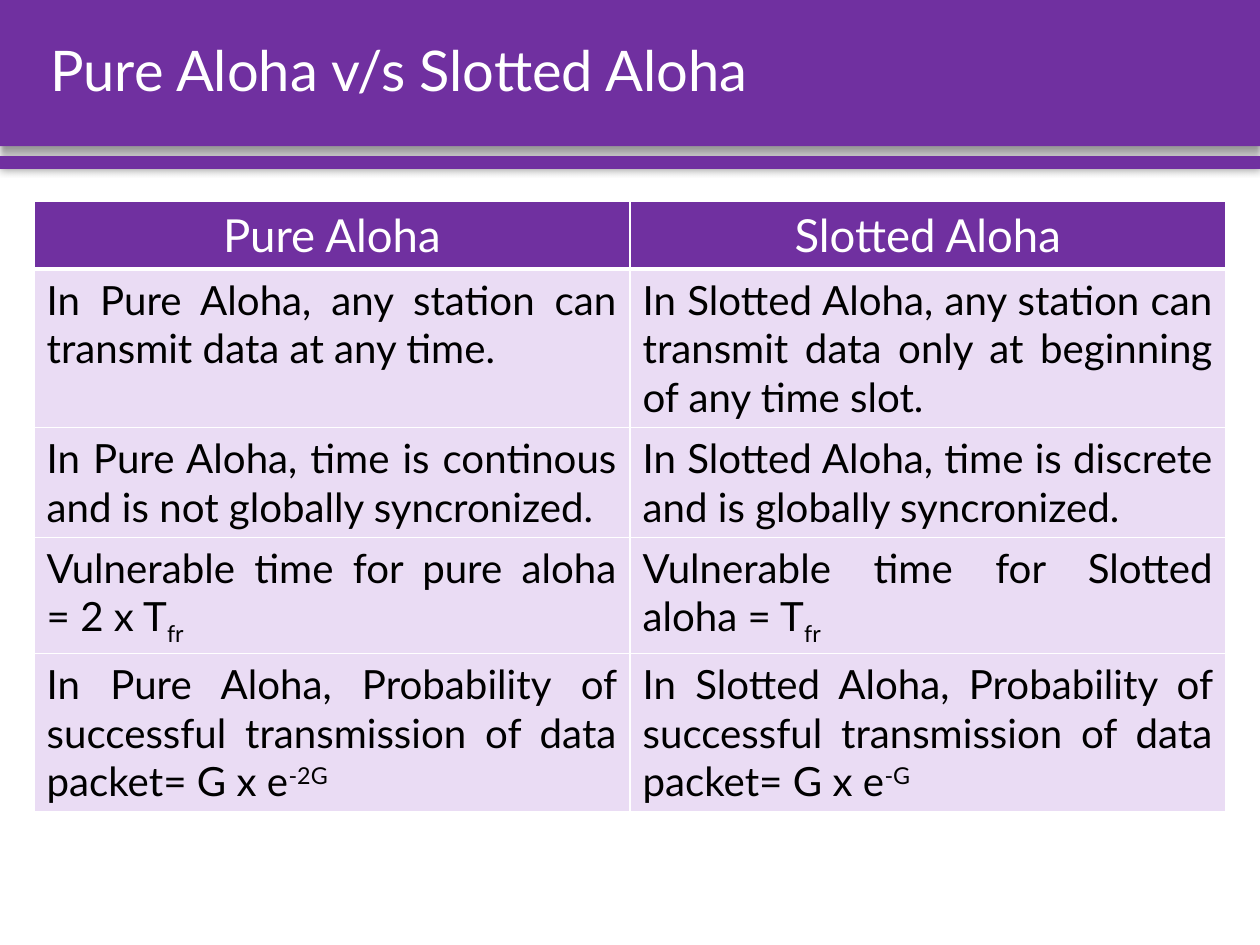
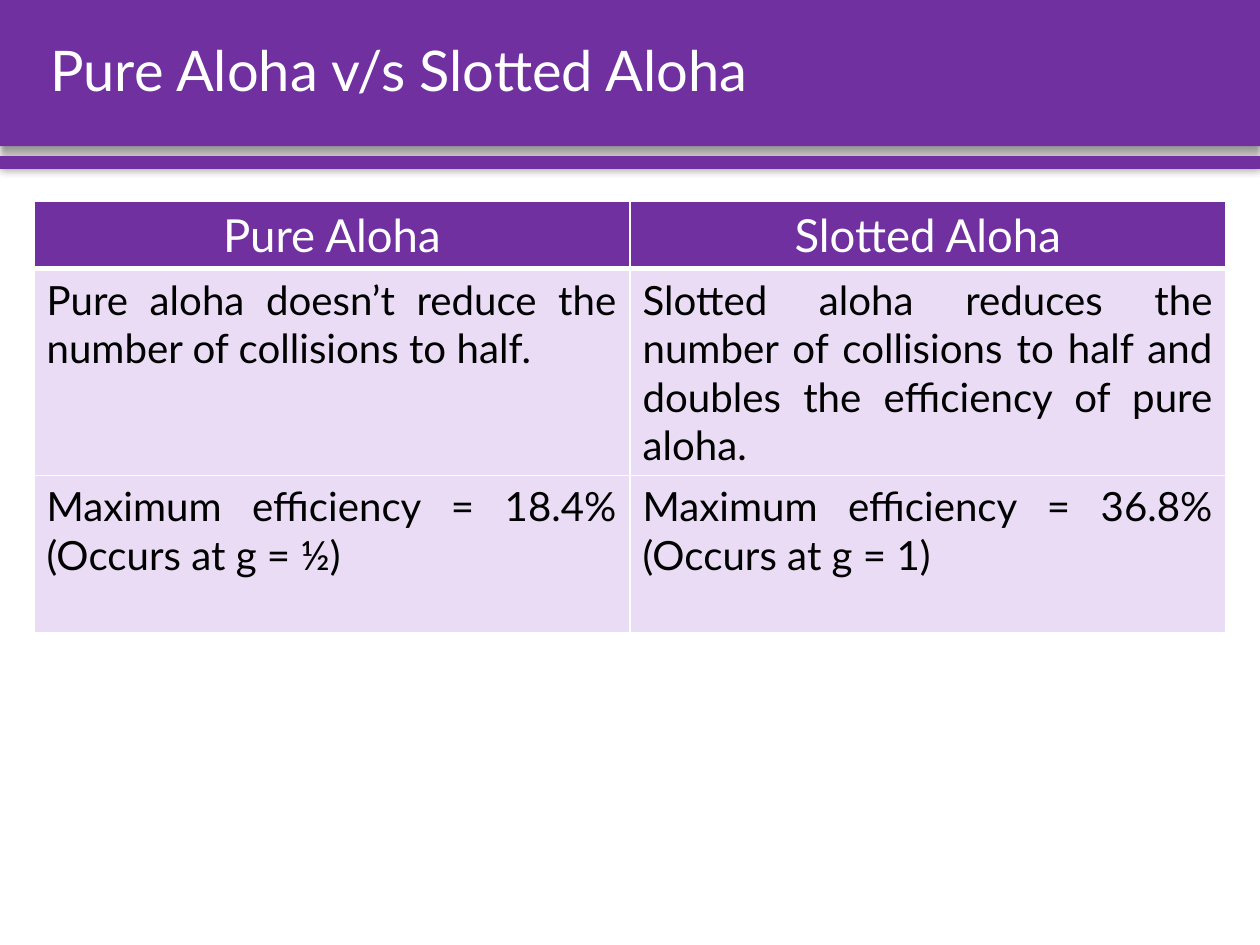
"""Build two slides that compare Pure Aloha with Slotted Aloha."""
from dataclasses import dataclass

from lxml.etree import SubElement
from pptx import Presentation
from pptx.dml.color import RGBColor
from pptx.enum.shapes import MSO_SHAPE
from pptx.enum.text import MSO_ANCHOR, PP_ALIGN
from pptx.oxml import parse_xml
from pptx.oxml.ns import nsdecls, qn
from pptx.util import Inches, Pt

COLOURS = {"purple": "7030A0", "lilac": "EADCF4", "white": "FFFFFF", "black": "000000"}
FONT = "Lato"
TITLE = "Pure Aloha v/s Slotted Aloha"
PAGE_WIDTH, PAGE_HEIGHT = 10, 7.5
TABLE_LEFT, TABLE_TOP, TABLE_WIDTH = 0.27, 1.6, 9.46
HEADER_HEIGHT = 0.52
THIN, THICK = 1, 3


@dataclass(frozen=True)
class Band:
    top: float
    height: float
    blur: int
    distance: int
    angle: int


@dataclass(frozen=True)
class Entry:
    text: str
    script: str = ""
    baseline: int = 0


@dataclass(frozen=True)
class Row:
    height: float
    pure: Entry
    slotted: Entry


BANDS = [Band(0, 1.16, 4, 3, 90), Band(1.24, 0.1, 5, 0, 0)]
HEADER = Row(HEADER_HEIGHT, Entry("Pure Aloha"), Entry("Slotted Aloha"))
PAGES = [
    [
        Row(
            1.26,
            Entry("In Pure Aloha, any station can transmit data at any time."),
            Entry("In Slotted Aloha, any station can transmit data only at beginning of any time slot."),
        ),
        Row(
            0.87,
            Entry("In Pure Aloha, time is continous and is not globally syncronized."),
            Entry("In Slotted Aloha, time is discrete and is globally syncronized."),
        ),
        Row(
            0.92,
            Entry("Vulnerable time for pure aloha\n= 2 x T", "fr", -25),
            Entry("Vulnerable time for Slotted aloha = T", "fr", -25),
        ),
        Row(
            1.25,
            Entry("In Pure Aloha, Probability of successful transmission of data packet= G x e", "-2G", 30),
            Entry("In Slotted Aloha, Probability of successful transmission of data packet= G x e", "-G", 30),
        ),
    ],
    [
        Row(
            1.64,
            Entry("Pure aloha doesn’t reduce the number of collisions to half."),
            Entry("Slotted aloha reduces the number of collisions to half and doubles the efficiency of pure aloha."),
        ),
        Row(
            1.25,
            Entry("Maximum efficiency = 18.4% (Occurs at g = ½)"),
            Entry("Maximum efficiency = 36.8% (Occurs at g = 1)"),
        ),
    ],
]


def colour(name: str) -> RGBColor:
    return RGBColor.from_string(COLOURS[name])


def format_spans(para, size: int, colour_name: str) -> None:
    for span in para.runs:
        span.font.name = FONT
        span.font.size = Pt(size)
        span.font.bold = False
        span.font.color.rgb = colour(colour_name)


def draw_band(page, band: Band) -> None:
    bar = page.shapes.add_shape(
        MSO_SHAPE.RECTANGLE, 0, Inches(band.top), Inches(PAGE_WIDTH), Inches(band.height)
    )
    bar.fill.solid()
    bar.fill.fore_color.rgb = colour("purple")
    bar.line.fill.background()
    bar.shadow.inherit = False
    effects = bar._element.spPr.find(qn("a:effectLst"))
    shadow = SubElement(
        effects, qn("a:outerShdw"), blurRad=str(Pt(band.blur)), dist=str(Pt(band.distance)),
        dir=str(band.angle * 60000), algn="ctr", rotWithShape="0",
    )
    tint = SubElement(shadow, qn("a:srgbClr"), val=COLOURS["black"])
    SubElement(tint, qn("a:alpha"), val="40000")


def draw_title(page) -> None:
    box = page.shapes.add_textbox(Inches(0.3), 0, Inches(TABLE_WIDTH), Inches(BANDS[0].height))
    frame = box.text_frame
    frame.word_wrap = True
    frame.vertical_anchor = MSO_ANCHOR.MIDDLE
    frame.text = TITLE
    para = frame.paragraphs[0]
    para.line_spacing = 0.9
    format_spans(para, 32, "white")


def set_borders(cell, top: int, bottom: int) -> None:
    properties = cell._tc.get_or_add_tcPr()
    widths = {"lnL": THIN, "lnR": THIN, "lnT": top, "lnB": bottom}
    for position, (side, width) in enumerate(widths.items()):
        border = parse_xml(
            f'<a:{side} {nsdecls("a")} w="{Pt(width)}"><a:solidFill>'
            f'<a:srgbClr val="{COLOURS["white"]}"/></a:solidFill></a:{side}>'
        )
        properties.insert(position, border)


def fill_cell(cell, entry: Entry, row_index: int) -> None:
    is_header = row_index == 0
    cell.fill.solid()
    cell.fill.fore_color.rgb = colour("purple" if is_header else "lilac")
    set_borders(cell, THICK if row_index == 1 else THIN, THICK if is_header else THIN)
    para = cell.text_frame.paragraphs[0]
    para.text = entry.text
    para.alignment = PP_ALIGN.CENTER if is_header else PP_ALIGN.JUSTIFY
    if entry.script:
        script = para.add_run()
        script.text = entry.script
        script.font._element.set("baseline", str(entry.baseline * 1000))
    format_spans(para, 26 if is_header else 23, "white" if is_header else "black")


def draw_table(page, body: list[Row]) -> None:
    rows = [HEADER, *body]
    table = page.shapes.add_table(
        len(rows), 2, Inches(TABLE_LEFT), Inches(TABLE_TOP),
        Inches(TABLE_WIDTH), Inches(sum(row.height for row in rows)),
    ).table
    table.first_row = False
    table.horz_banding = False
    for row_index, row in enumerate(rows):
        table.rows[row_index].height = Inches(row.height)
        for column_index, entry in enumerate((row.pure, row.slotted)):
            fill_cell(table.cell(row_index, column_index), entry, row_index)


def main() -> None:
    deck = Presentation()
    deck.slide_width = Inches(PAGE_WIDTH)
    deck.slide_height = Inches(PAGE_HEIGHT)
    for body in PAGES:
        page = deck.slides.add_slide(deck.slide_layouts[6])
        for band in BANDS:
            draw_band(page, band)
        draw_table(page, body)
        draw_title(page)
    deck.save("out.pptx")


if __name__ == "__main__":
    main()
